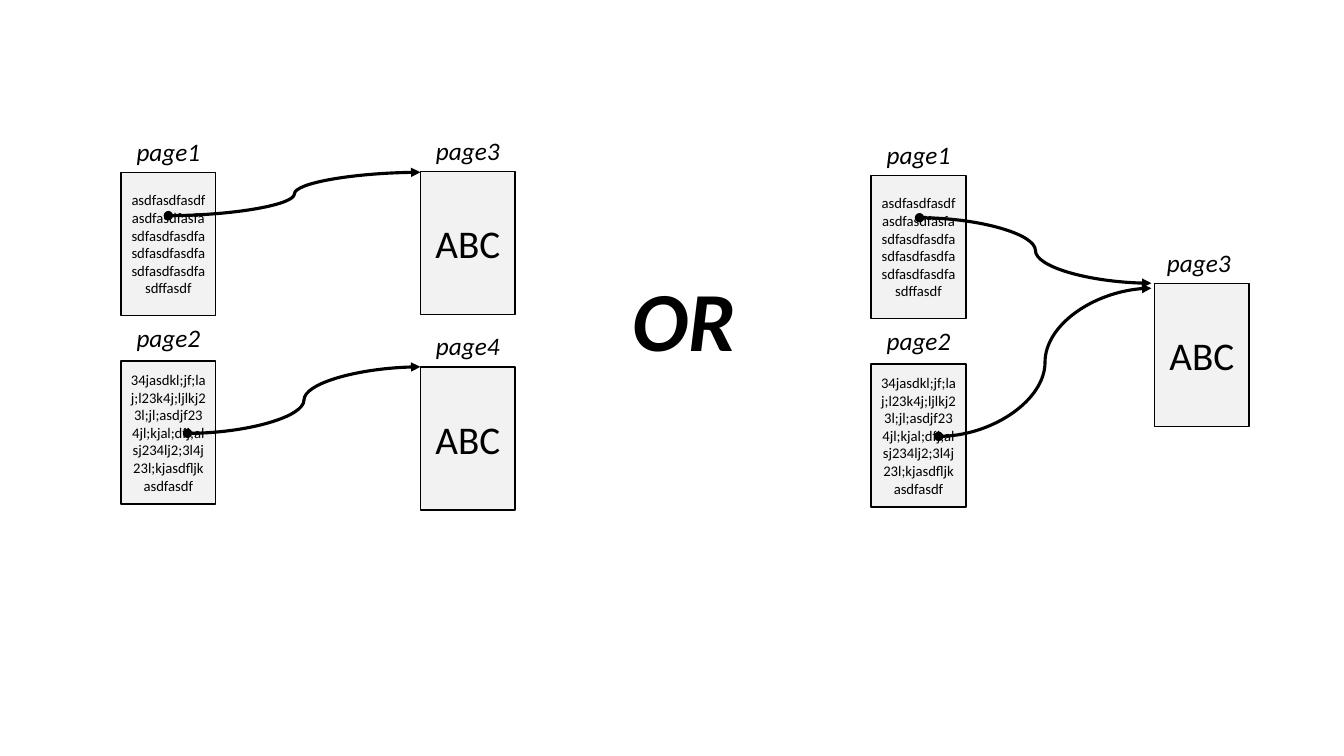
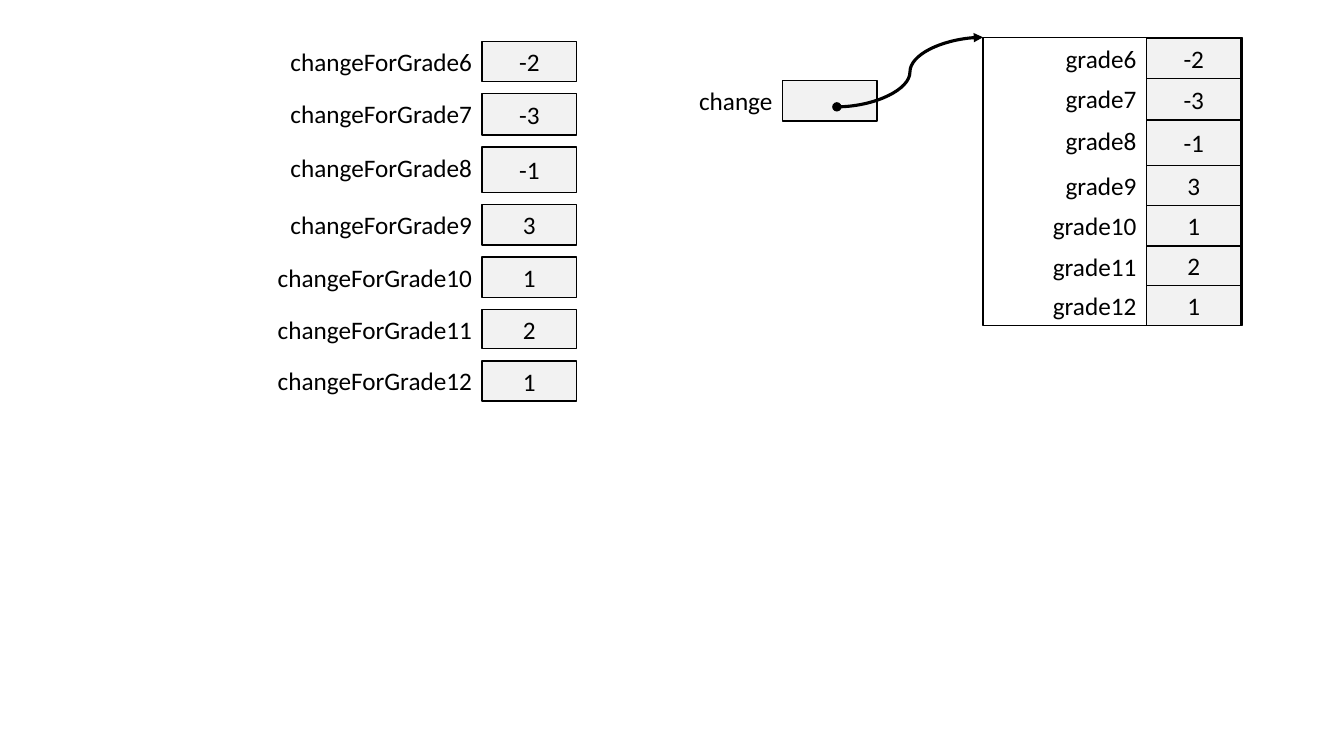
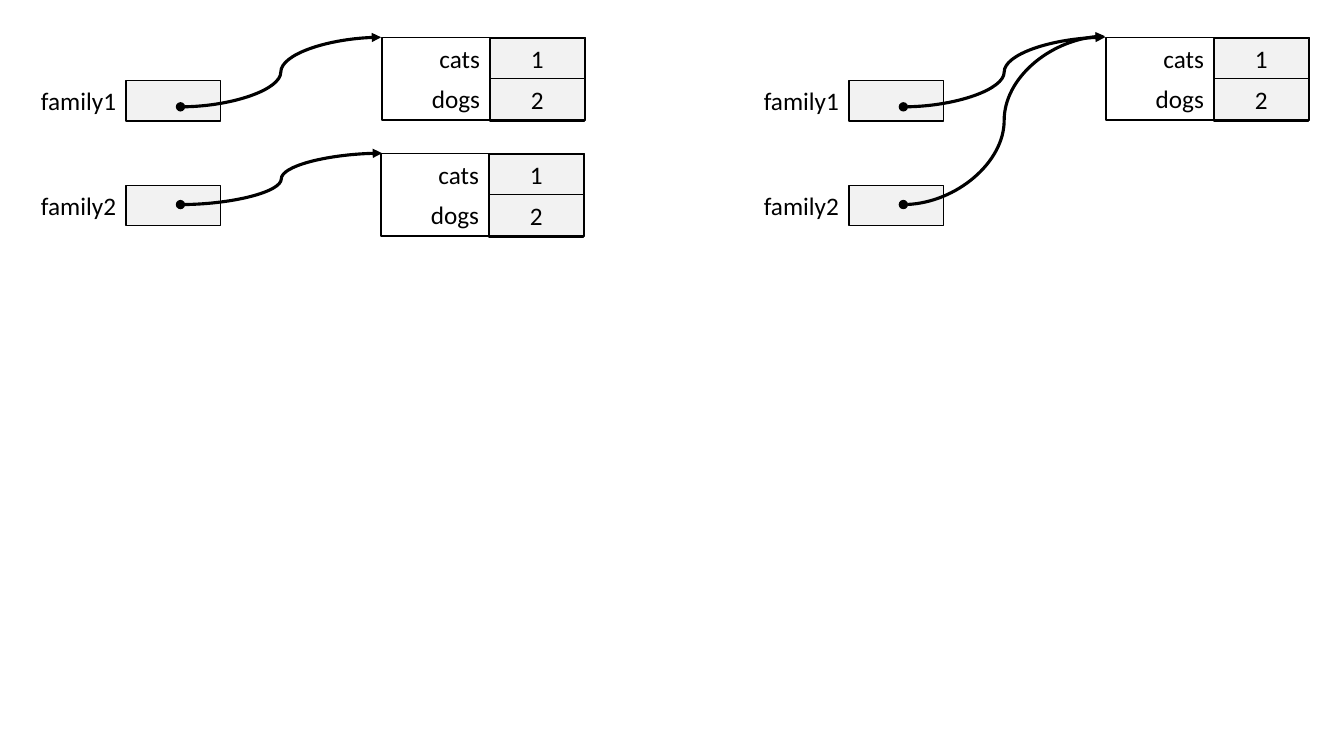
from pptx import Presentation
from pptx.util import Inches, Pt
from pptx.dml.color import RGBColor as RGB
from pptx.enum.shapes import MSO_SHAPE as Form, MSO_CONNECTOR as Link
from pptx.enum.text import PP_ALIGN as Al, MSO_ANCHOR as Anchor, MSO_AUTO_SIZE as Auto
from pptx.oxml.ns import qn
from lxml import etree

INK = {"text": "000000", "line": "000000", "cell": "F2F2F2"}
FONT = "Calibri"
BOX, ROW, PAGE, KEY = 0.94, 0.4, 1.42, 2.66

deck = Presentation()
deck.slide_width, deck.slide_height = Inches(13.33), Inches(7.5)
blank = deck.slide_layouts[6]


def put(slide, text, x, y, w, h, size=18, align=Al.CENTER, bold=False,
        slant=False, frame=False, fill=None):
    area = [Inches(v) for v in (x, y, w, h)]
    if frame:
        item = slide.shapes.add_shape(Form.RECTANGLE, *area)
        item.shadow.inherit = False
        item.line.color.rgb = RGB.from_string(INK["line"])
        item.line.width = Pt(1)
        if fill:
            item.fill.solid()
            item.fill.fore_color.rgb = RGB.from_string(INK[fill])
        else:
            item.fill.background()
    else:
        item = slide.shapes.add_textbox(*area)
    body = item.text_frame
    body.word_wrap = True
    if frame:
        body.vertical_anchor = Anchor.MIDDLE
    else:
        body.auto_size = Auto.SHAPE_TO_FIT_TEXT
    if text:
        para = body.paragraphs[0]
        para.alignment = align
        run = para.add_run()
        run.text = text
        font = run.font
        font.name, font.size, font.bold, font.italic = FONT, Pt(size), bold, slant
        font.color.rgb = RGB.from_string(INK["text"])


def point(slide, *ends):
    arrow = slide.shapes.add_connector(Link.CURVE, *[Inches(v) for v in ends])
    arrow.line.color.rgb = RGB.from_string(INK["line"])
    arrow.line.width = Pt(2.25)
    props = arrow.element.spPr
    line = props.find(qn("a:ln"))
    for tag, kind in (("a:headEnd", "oval"), ("a:tailEnd", "triangle")):
        etree.SubElement(line, qn(tag)).set("type", kind)
    etree.SubElement(props, qn("a:effectLst"))


pages, grades, pets = [deck.slides.add_slide(blank) for _ in range(3)]
cell = dict(frame=True, fill="cell")

drafts = [
    ("page1", 1.71, "asdfasdfasdfasdfasdfasfasdfasdfasdfasdfasdfasdfasdfasdfasdfasdffasdf"),
    ("page2", 3.58, "34jasdkl;jf;laj;l23k4j;ljlkj23l;jl;asdjf234jl;kjal;dfj;alsj234lj2;3l4j23l;kjasdfljkasdfasdf"),
]
for left, drop in ((1.2, 0), (8.64, 0.03)):
    for name, top, text in drafts:
        gap = 0.41 if name == "page1" else 0.43
        put(pages, text, left, top + drop, BOX, PAGE, size=10.5, **cell)
        put(pages, name, left, top + drop - gap, BOX, ROW, slant=True)
for name, left, top, shift in (("page3", 4.17, 1.7, 0), ("page4", 4.17, 3.64, 0),
                               ("page3", 11.45, 2.81, 0.03)):
    put(pages, "ABC", left, top, BOX, PAGE, size=28, **cell)
    put(pages, name, left - shift, top - 0.41, BOX, ROW, slant=True)
for ends in ((1.67, 2.14, 4.17, 1.71), (1.86, 4.3, 4.17, 3.64),
             (9.12, 2.16, 11.42, 2.81), (9.31, 4.33, 11.42, 2.86)):
    point(pages, *ends)
put(pages, "OR", 6.17, 2.6, 1.79, 1.11, size=60, align=Al.LEFT, bold=True, slant=True)

marks = [("6", "-2", 0.4), ("7", "-3", 0.41), ("8", "-1", 0.45), ("9", "3", 0.4),
         ("10", "1", 0.4), ("11", "2", 0.39), ("12", "1", 0.4)]
fields = [("grade" + num, val, tall) for num, val, tall in marks]
vars = [("changeForGrade" + num, val, tall) for num, val, tall in marks]
count = [("cats", "1", 0.4), ("dogs", "2", 0.42)]

tables = [
    (grades, vars, 4.78, 0.41, 0.12, None),
    (grades, fields, 11.37, 0.38, 0, (1.62, 2.86)),
    (pets, count, 4.86, 0.38, 0, (1.07, 0.82)),
    (pets, count, 4.85, 1.53, 0, (1.07, 0.82)),
    (pets, count, 12.04, 0.38, 0, (1.07, 0.82)),
]
for slide, rows, left, start, gap, frame in tables:
    top = start
    for name, val, tall in rows:
        put(slide, name, left - KEY, top, KEY, ROW, align=Al.RIGHT)
        put(slide, val, left, top, BOX, tall, **cell)
        top += tall + gap
    if frame:
        wide, tall = frame
        put(slide, "", left - wide, start - 0.01, wide + BOX + 0.01, tall, frame=True)

for slide, name, left, top, dot, tip in (
        (grades, "change", 7.76, 0.8, 0.26, (9.75, 0.37)),
        (pets, "family1", 1.25, 0.8, 0.26, (3.78, 0.37)),
        (pets, "family2", 1.25, 1.84, 0.19, (3.79, 1.52)),
        (pets, "family1", 8.42, 0.8, 0.26, (10.96, 0.37)),
        (pets, "family2", 8.42, 1.84, 0.19, (10.96, 0.36))):
    put(slide, name, left - KEY, top, KEY, ROW, align=Al.RIGHT)
    put(slide, "", left, top, BOX, ROW, **cell)
    point(slide, left + 0.54, top + dot, *tip)

deck.save("out.pptx")
